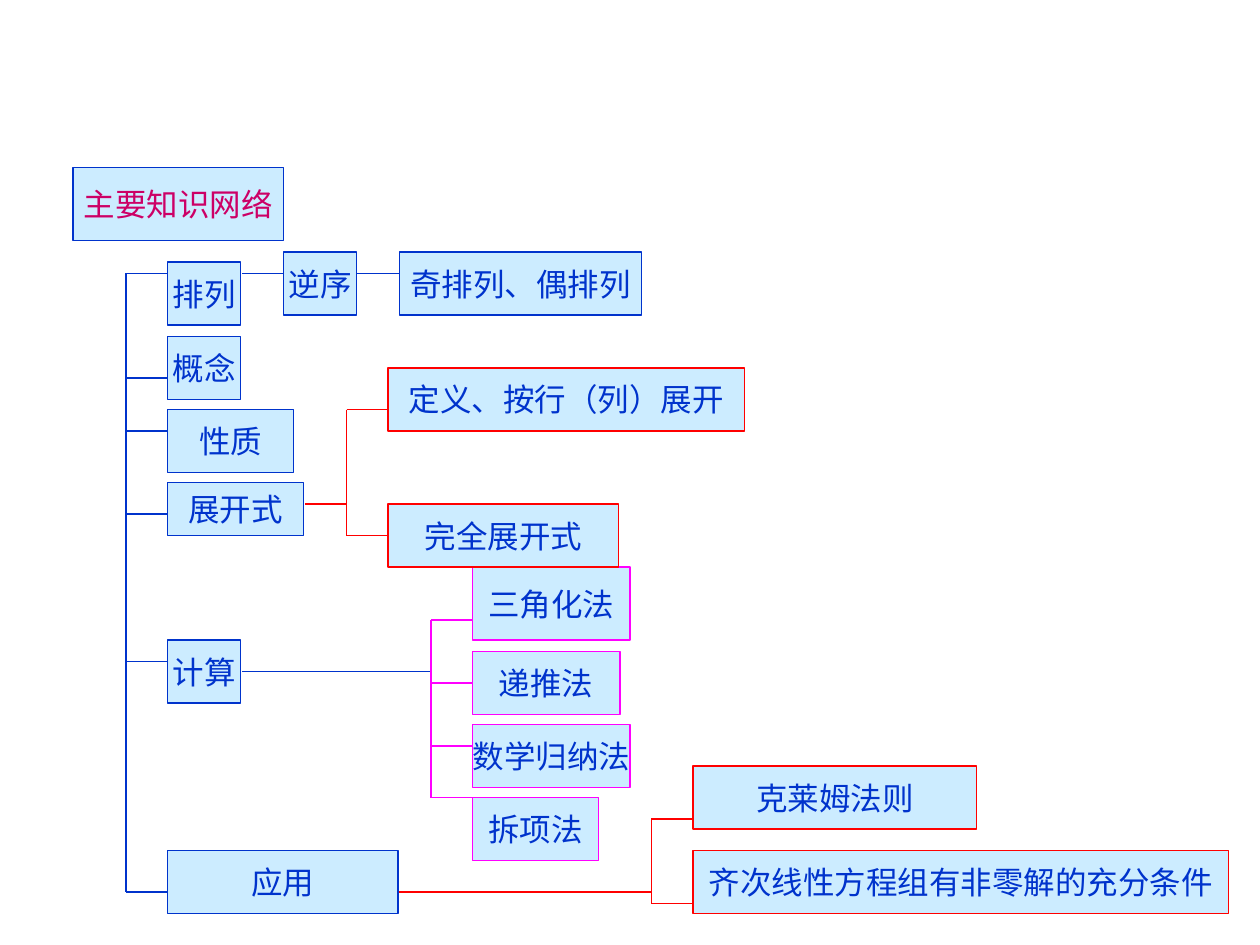
from pptx import Presentation
from pptx.dml.color import RGBColor
from pptx.enum.shapes import MSO_CONNECTOR as Connector, MSO_SHAPE as Shape
from pptx.enum.text import MSO_ANCHOR as Anchor, PP_ALIGN as Align
from pptx.oxml.xmlchemy import OxmlElement
from pptx.util import Inches, Pt

BLUE, RED, MAGENTA = "0033CC", "FF0000", "FF00FF"
CRIMSON, PALE_BLUE = "CC0066", "CCECFF"
STUB = 0.33

TOPICS = [
    ("排列", 2.08, 0.58, 0.5),
    ("概念", 2.67, 0.58, 0.5),
    ("性质", 3.25, 1, 0.5),
    ("展开式", 3.83, 1.08, 0.42),
    ("计算", 5.08, 0.58, 0.5),
    ("应用", 6.75, 1.83, 0.5),
]
METHODS = [
    ("三角化法", 4.5, 1.25, 0.58),
    ("递推法", 5.17, 1.17, 0.5),
    ("数学归纳法", 5.75, 1.25, 0.5),
    ("拆项法", 6.33, 1, 0.5),
]
EXPANSIONS = [
    ("定义、按行（列）展开", 2.92, 2.83, 0.5),
    ("完全展开式", 4, 1.83, 0.5),
]
APPLICATIONS = [
    ("克莱姆法则", 6.08, 2.25, 0.5),
    ("齐次线性方程组有非零解的充分条件", 6.75, 4.25, 0.5),
]


def color(hex_code):
    return RGBColor.from_string(hex_code)


def add_link(slide, x1, y1, x2, y2, line_color):
    link = slide.shapes.add_connector(
        Connector.STRAIGHT, Inches(x1), Inches(y1), Inches(x2), Inches(y2))
    link.line.color.rgb = color(line_color)
    link.line.width = Pt(0.75)
    link._element.spPr.append(OxmlElement("a:effectLst"))


def add_node(slide, label, left, top, width, height, line_color, text_color=BLUE):
    node = slide.shapes.add_shape(
        Shape.FLOWCHART_PROCESS, Inches(left), Inches(top), Inches(width), Inches(height))
    node.shadow.inherit = False
    node.fill.solid()
    node.fill.fore_color.rgb = color(PALE_BLUE)
    node.line.color.rgb = color(line_color)
    node.line.width = Pt(0.75)
    frame = node.text_frame
    frame.text = label
    frame.word_wrap = False
    frame.vertical_anchor = Anchor.MIDDLE
    paragraph = frame.paragraphs[0]
    paragraph.alignment = Align.CENTER
    font = paragraph.runs[0].font
    font.name = "Arial"
    font.size = Pt(18)
    font.color.rgb = color(text_color)


def add_branch(slide, trunk_x, left, stub_ys, nodes, line_color):
    add_link(slide, trunk_x, min(stub_ys), trunk_x, max(stub_ys), line_color)
    for y in stub_ys:
        add_link(slide, trunk_x, y, trunk_x + STUB, y, line_color)
    for label, top, width, height in nodes:
        add_node(slide, label, left, top, width, height, line_color)


def main():
    deck = Presentation()
    deck.slide_width, deck.slide_height = Inches(10), Inches(7.5)
    slide = deck.slides.add_slide(deck.slide_layouts[6])

    add_node(slide, "主要知识网络", 0.58, 1.33, 1.67, 0.58, BLUE, CRIMSON)
    add_branch(slide, 1, 1.33, [2.17, 3, 3.42, 4.08, 5.25, 7.08], TOPICS, BLUE)

    add_link(slide, 1.92, 2.17, 2.25, 2.17, BLUE)
    add_node(slide, "逆序", 2.25, 2, 0.58, 0.5, BLUE)
    add_link(slide, 2.83, 2.17, 3.17, 2.17, BLUE)
    add_node(slide, "奇排列、偶排列", 3.17, 2, 1.92, 0.5, BLUE)

    add_link(slide, 3.17, 7.08, 5.17, 7.08, RED)
    add_branch(slide, 5.17, 5.5, [6.5, 7.17], APPLICATIONS, RED)

    add_link(slide, 1.92, 5.33, 3.42, 5.33, BLUE)
    add_branch(slide, 3.42, 3.75, [4.92, 5.42, 5.92, 6.33], METHODS, MAGENTA)

    add_link(slide, 2.42, 4, 2.75, 4, RED)
    add_branch(slide, 2.75, 3.08, [3.25, 4.25], EXPANSIONS, RED)

    deck.save("out.pptx")


if __name__ == "__main__":
    main()
